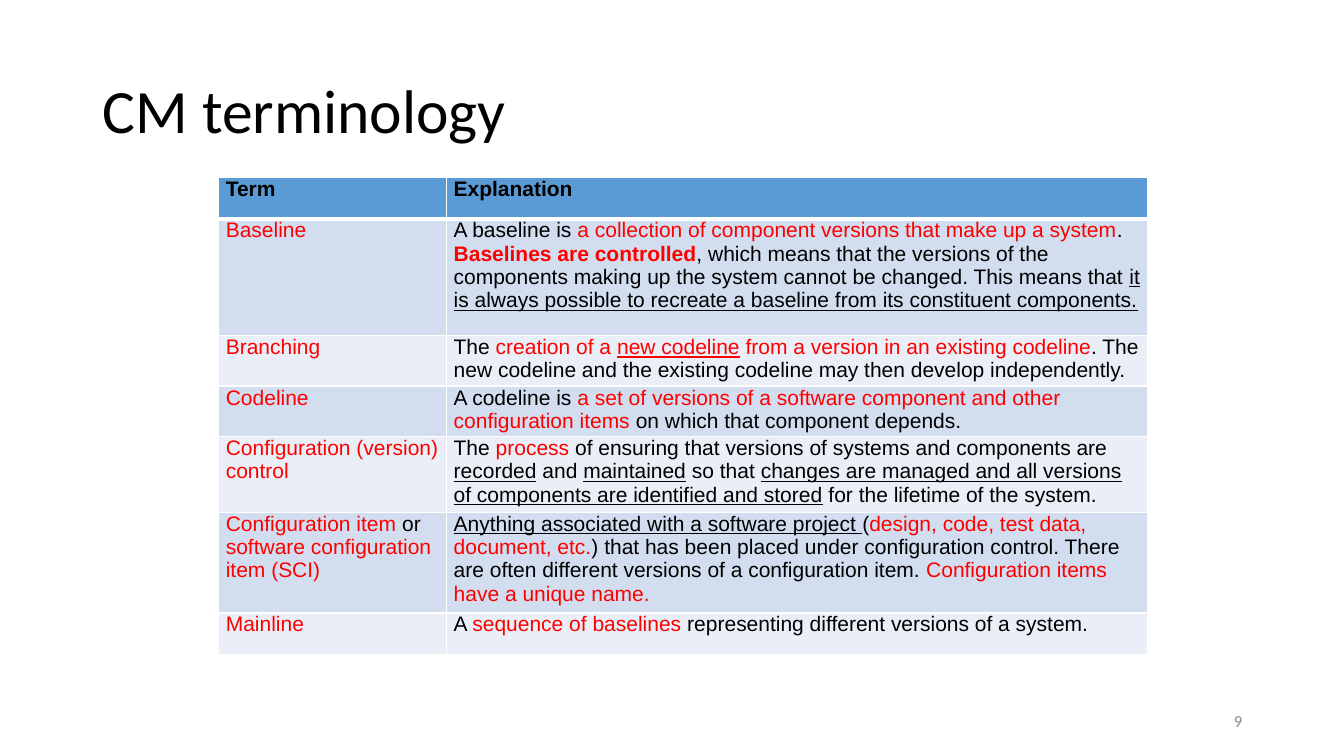
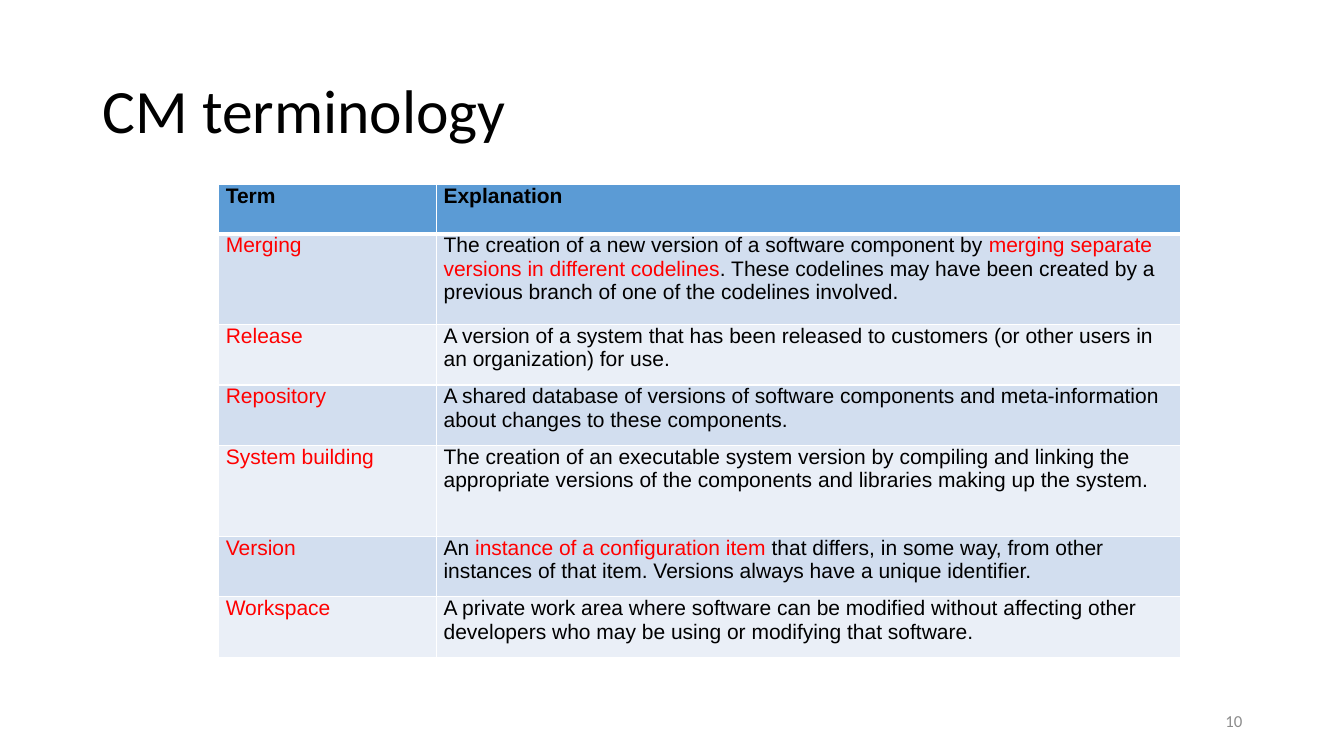
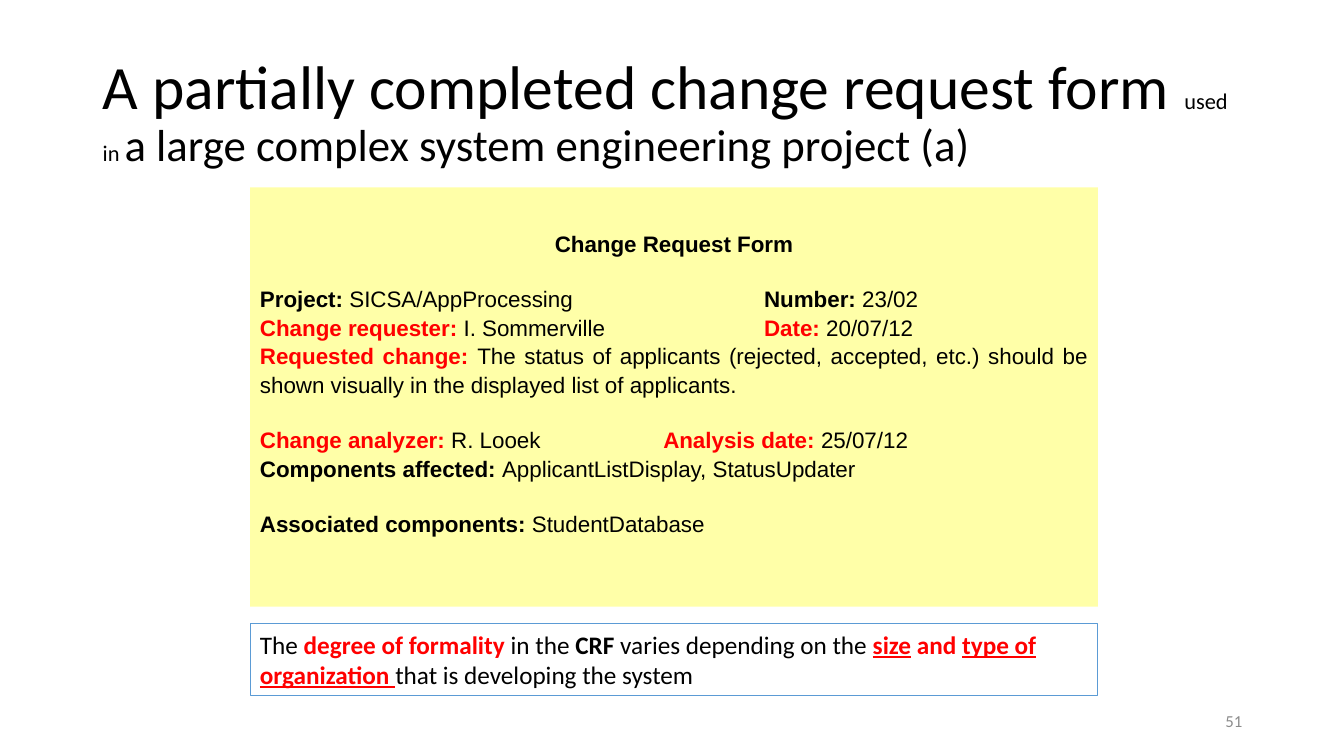
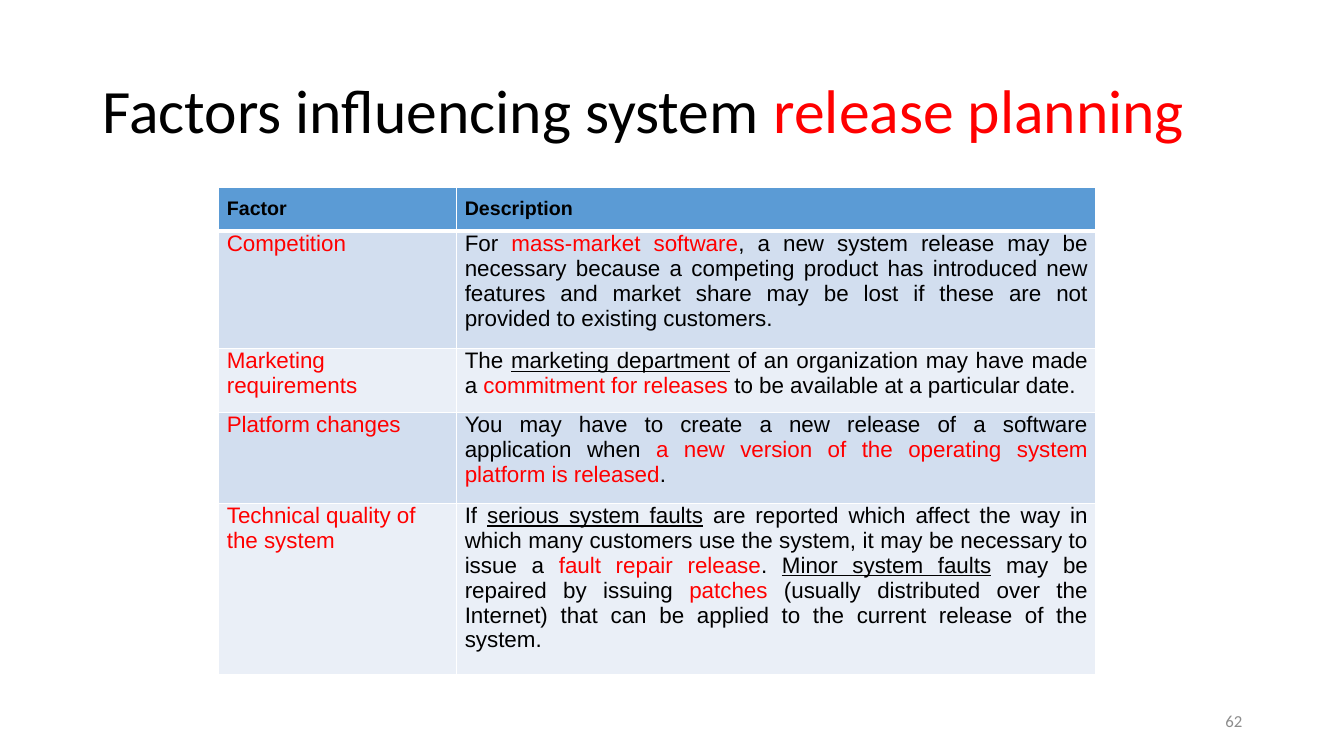
from lxml.etree import SubElement
from pptx import Presentation
from pptx.dml.color import RGBColor
from pptx.enum.shapes import MSO_SHAPE
from pptx.enum.text import MSO_ANCHOR, PP_ALIGN
from pptx.oxml.ns import qn
from pptx.util import Inches, Pt

BLACK = RGBColor(0x00, 0x00, 0x00)
WHITE = RGBColor(0xFF, 0xFF, 0xFF)
RED = RGBColor(0xFF, 0x00, 0x00)
GREY = RGBColor(0x8C, 0x8C, 0x8C)
BLUE = RGBColor(0x5B, 0x9B, 0xD5)
BANDS = [RGBColor(0xEA, 0xEF, 0xF7), RGBColor(0xD2, 0xDE, 0xEF)]
YELLOW = RGBColor(0xFF, 0xFF, 0x00)
HEAD_FONT, BODY_FONT = "Calibri", "Arial"

# A text is a list of parts. A part is a plain string or a pair of string and
# marks: r red, b bold, u underlined. A number among the marks is a size.
TERMS_A = [
    ("Term", "Explanation"),
    ([("Baseline", "r")],
     ["A baseline is ",
      ("a collection of component versions that make up a system", "r"), ". ",
      ("Baselines are controlled", "rb"),
      ", which means that the versions of the components making up the system "
      "cannot be changed. This means that ",
      ("it is always possible to recreate a baseline from its constituent "
       "components. ", "u")]),
    ([("Branching", "r")],
     ["The ", ("creation of a ", "r"), ("new codeline", "ru"),
      (" from a version in an existing codeline", "r"),
      ". The new codeline and the existing codeline may then develop "
      "independently."]),
    ([("Codeline", "r")],
     ["A codeline is ",
      ("a set of versions of a software component and other configuration "
       "items ", "r"),
      "on which that component depends."]),
    ([("Configuration (version) control", "r")],
     ["The ", ("process", "r"),
      " of ensuring that versions of systems and components are ",
      ("recorded", "u"), " and ", ("maintained", "u"), " so that ",
      ("changes are managed and all versions of components are identified "
       "and stored", "u"),
      " for the lifetime of the system."]),
    ([("Configuration item ", "r"), "or ",
      ("software configuration item (SCI)", "r")],
     [("Anything associated with a software project ", "u"), "(",
      ("design, code, test data, document, etc.", "r"),
      ") that has been placed under configuration control. There are often "
      "different versions of a configuration item. ",
      ("Configuration items have a unique name.", "r")]),
    ([("Mainline", "r")],
     ["A ", ("sequence of baselines ", "r"),
      "representing different versions of a system."]),
]

TERMS_B = [
    ("Term", "Explanation"),
    ([("Merging", "r")],
     ["The creation of a new version of a software component by ",
      ("merging separate versions in different codelines", "r"),
      ". These codelines may have been created by a previous branch of one "
      "of the codelines involved."]),
    ([("Release", "r")],
     ["A version of a system that has been released to customers (or other "
      "users in an organization) for use."]),
    ([("Repository", "r")],
     ["A shared database of versions of software components and "
      "meta-information about changes to these components."]),
    ([("System building", "r")],
     ["The creation of an executable system version by compiling and linking "
      "the appropriate versions of the components and libraries making up "
      "the system."]),
    ([("Version", "r")],
     ["An ", ("instance of a configuration item ", "r"),
      "that differs, in some way, from other instances of that item. "
      "Versions always have a unique identifier."]),
    ([("Workspace", "r")],
     ["A private work area where software can be modified without affecting "
      "other developers who may be using or modifying that software."]),
]

FACTORS = [
    ("Factor", "Description"),
    ([("Competition", "r")],
     ["For ", ("mass-market software", "r"),
      ", a new system release may be necessary because a competing product "
      "has introduced new features and market share may be lost if these are "
      "not provided to existing customers."]),
    ([("Marketing requirements", "r")],
     ["The ", ("marketing department", "u"),
      " of an organization may have made a ",
      ("commitment for releases ", "r"),
      "to be available at a particular date."]),
    ([("Platform changes", "r")],
     ["You may have to create a new release of a software application when ",
      ("a new version of the operating system platform is released", "r"),
      "."]),
    ([("Technical quality of the system", "r")],
     ["If ", ("serious system faults", "u"),
      " are reported which affect the way in which many customers use the "
      "system, it may be necessary to issue a ",
      ("fault repair release", "r"), ". ", ("Minor system faults", "u"),
      " may be repaired by issuing ", ("patches", "r"),
      " (usually distributed over the Internet) that can be applied to the "
      "current release of the system."]),
]

# Each line of the form: parts, alignment, whether a gap follows, tab stop.
LEFT, CENTER, FULL = PP_ALIGN.LEFT, PP_ALIGN.CENTER, PP_ALIGN.JUSTIFY
FORM = [
    ([("Change Request Form", "b")], CENTER, True, None),
    ([("Project: ", "b"), "SICSA/AppProcessing\t", ("Number: ", "b"),
      "23/02"], LEFT, False, 5),
    ([("Change requester: ", "rb"), "I. Sommerville\t", ("Date: ", "rb"),
      "20/07/12"], LEFT, False, 5),
    ([("Requested change: ", "rb"),
      "The status of applicants (rejected, accepted, etc.) should be shown "
      "visually in the displayed list of applicants."], FULL, True, None),
    ([("Change analyzer: ", "rb"), "R. Looek\t", ("Analysis date: ", "rb"),
      "25/07/12"], LEFT, False, 4),
    ([("Components affected: ", "b"), "ApplicantListDisplay, StatusUpdater"],
     FULL, True, None),
    ([("Associated components: ", "b"), "StudentDatabase"], FULL, False, None),
]

NOTE = ["The ", ("degree of formality ", "rb"), "in the ", ("CRF", "b"),
        " varies depending on the ", ("size", "rbu"), (" and ", "rb"),
        ("type of organization ", "rbu"), "that is developing the system"]


def write(para, parts, font, size, color=BLACK, align=LEFT):
    """Fill a paragraph with marked parts."""
    para.alignment = align
    para.font.name, para.font.size = font, Pt(size)
    para.font.color.rgb = color
    for part in parts:
        text, marks = (part, "") if isinstance(part, str) else part
        run = para.add_run()
        run.text = text
        if isinstance(marks, int):
            run.font.size = Pt(marks)
            continue
        if "r" in marks:
            run.font.color.rgb = RED
        if "b" in marks:
            run.font.bold = True
        if "u" in marks:
            run.font.underline = True


def add_text(slide, box, parts, size, color=BLACK, align=LEFT):
    frame = slide.shapes.add_textbox(*map(Inches, box)).text_frame
    frame.word_wrap = True
    frame.vertical_anchor = MSO_ANCHOR.MIDDLE
    para = frame.paragraphs[0]
    write(para, parts, HEAD_FONT, size, color, align)
    return para


def add_page(deck, title, number):
    """Add a slide with the shared title and page number."""
    slide = deck.slides.add_slide(deck.slide_layouts[6])
    para = add_text(slide, (0.92, 0.4, 11.5, 1.45), title, 44)
    para.line_spacing = 0.9
    add_text(slide, (9.42, 6.95, 3, 0.4), [str(number)], 12, GREY,
             PP_ALIGN.RIGHT)
    return slide


def add_edges(cell, base):
    """Draw white cell borders; base is the width of the bottom one."""
    props = cell._tc.get_or_add_tcPr()
    for side, width in zip("LRTB", (1, 1, 1, base)):
        line = SubElement(props, qn(f"a:ln{side}"), w=str(Pt(width)))
        fill = SubElement(line, qn("a:solidFill"))
        SubElement(fill, qn("a:srgbClr"), val=str(WHITE))


def add_grid(slide, top, cols, heights, rows, sizes, pads, after, align):
    """Add a two-column table.

    sizes holds head and body text sizes; pads holds the side margin, the
    head's top margin and the bottom margin.
    """
    table = slide.shapes.add_table(
        len(rows), len(cols), Inches(2.17), Inches(top),
        Inches(sum(cols)), Inches(sum(heights))).table
    table.first_row = table.horz_banding = False
    for col, width in zip(table.columns, cols):
        col.width = Inches(width)
    side, head_top, bottom = pads
    for r, texts in enumerate(rows):
        table.rows[r].height = Inches(heights[r])
        for c, text in enumerate(texts):
            cell = table.cell(r, c)
            add_edges(cell, 1 if r else 3)
            cell.fill.solid()
            cell.fill.fore_color.rgb = BANDS[r % 2] if r else BLUE
            cell.margin_left = cell.margin_right = Inches(side)
            cell.margin_top = Inches(0 if r else head_top)
            cell.margin_bottom = Inches(bottom)
            para = cell.text_frame.paragraphs[0]
            para.space_after = Pt(after)
            parts = text if r else [(text, "b")]
            write(para, parts, BODY_FONT, sizes[min(r, 1)],
                  align=align if r and c else LEFT)


def add_box(slide, top, height):
    box = slide.shapes.add_shape(MSO_SHAPE.RECTANGLE, Inches(2.48),
                                 Inches(top), Inches(8.41), Inches(height))
    box.shadow.inherit = False
    box.text_frame.word_wrap = True
    box.text_frame.vertical_anchor = MSO_ANCHOR.TOP
    return box


def set_tab(para, stop):
    tabs = SubElement(para._p.get_or_add_pPr(), qn("a:tabLst"))
    SubElement(tabs, qn("a:tab"), pos=str(Inches(stop)), algn="l")


def add_form(slide):
    box = add_box(slide, 1.86, 4.16)
    box.fill.solid()
    box.fill.fore_color.rgb = YELLOW
    tint = box.fill._xPr.find(qn("a:solidFill"))[0]
    SubElement(tint, qn("a:alpha"), val="34000")
    box.line.fill.background()
    frame = box.text_frame
    frame.margin_top = Inches(0.4)
    for i, (parts, align, gap, stop) in enumerate(FORM):
        para = frame.add_paragraph() if i else frame.paragraphs[0]
        para.line_spacing = 1.07
        para.space_after = Pt(19 if gap else 0)
        if stop:
            set_tab(para, stop)
        write(para, parts, BODY_FONT, 16, align=align)


def add_note(slide):
    box = add_box(slide, 6.19, 0.71)
    box.fill.background()
    box.line.color.rgb = BLUE
    box.line.width = Pt(0.75)
    write(box.text_frame.paragraphs[0], NOTE, HEAD_FONT, 18)


def main():
    deck = Presentation()
    deck.slide_width, deck.slide_height = Inches(13.33), Inches(7.5)

    terms = dict(sizes=(15, 15), pads=(0.07, 0, 0), after=2, align=LEFT)
    page = add_page(deck, ["CM terminology"], 9)
    add_grid(page, 1.76, (2.26, 6.95),
             (0.41, 1.16, 0.46, 0.46, 0.69, 0.92, 0.41), TERMS_A, **terms)

    page = add_page(deck, ["CM terminology"], 10)
    add_grid(page, 1.83, (2.16, 7.38),
             (0.49, 0.9, 0.6, 0.6, 0.9, 0.6, 0.6), TERMS_B, **terms)

    page = add_page(deck, ["A partially completed change request form ",
                           ("used in ", 16),
                           ("a large complex system engineering project (a)",
                            32)], 51)
    add_form(page)
    add_note(page)

    page = add_page(deck, ["Factors influencing system ",
                           ("release planning", "r")], 62)
    add_grid(page, 1.86, (2.36, 6.34), (0.41, 1.09, 0.6, 0.84, 1.58), FACTORS,
             sizes=(14, 16), pads=(0.08, 0.1, 0.1), after=0, align=FULL)

    deck.save("out.pptx")


if __name__ == "__main__":
    main()
